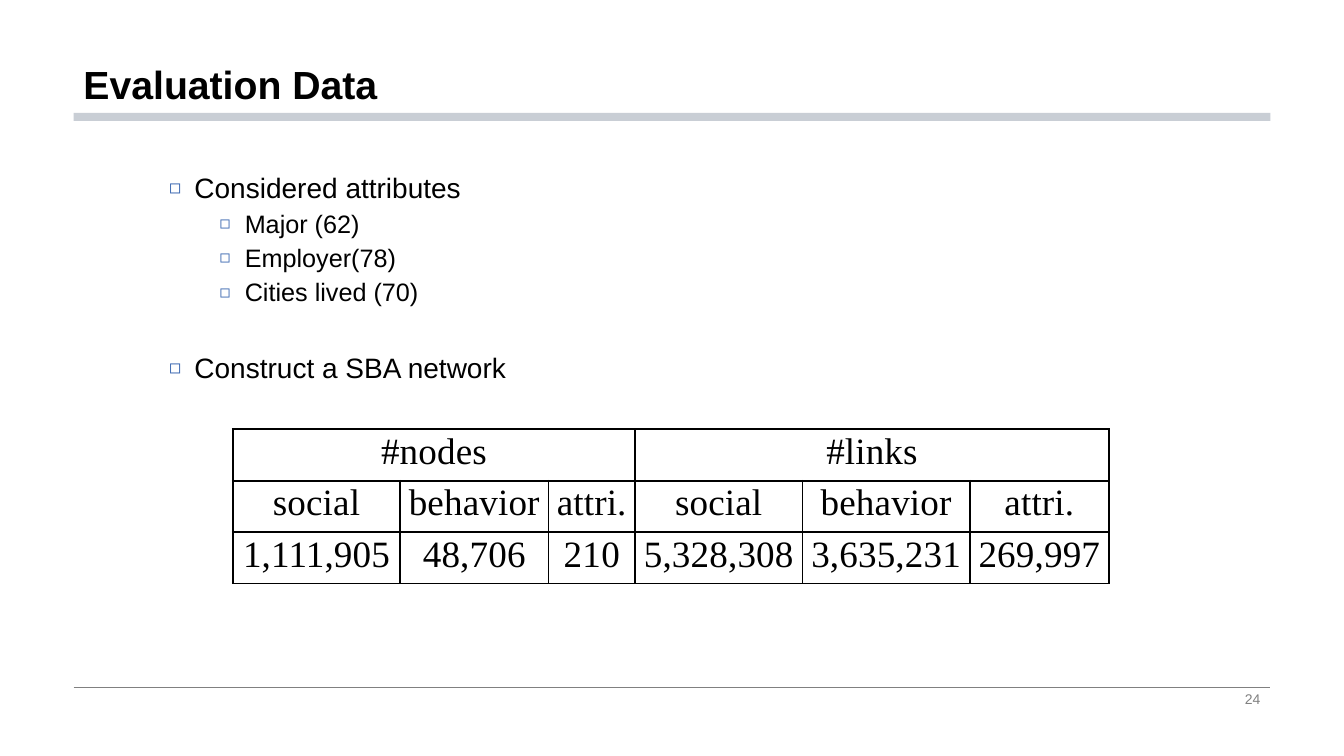
from dataclasses import dataclass

from lxml.etree import SubElement
from pptx import Presentation
from pptx.dml.color import RGBColor
from pptx.enum.shapes import MSO_CONNECTOR, MSO_SHAPE
from pptx.enum.text import MSO_ANCHOR, PP_ALIGN
from pptx.oxml import parse_xml
from pptx.oxml.ns import nsdecls, qn
from pptx.util import Inches, Pt

COLORS = {"text": "000000", "bar": "C9CED5", "gray": "808080", "bullet": "3966B0"}
LEFT, WIDTH = 0.73, 11.87
FOOT = 6.82


@dataclass
class Item:
    text: str
    level: int = 0
    before: float = 10


ITEMS = [
    Item("Considered attributes"),
    Item("Major (62)", 1, 5),
    Item("Employer(78)", 1, 5),
    Item("Cities lived (70)", 1, 5),
    Item("Construct a SBA network", 0, 33.6),
]
COLS = [1.66, 1.47, 0.86, 1.66, 1.66, 1.38]
ROW = 0.51
HEADS = ["#nodes", "#links"]
ROWS = [
    ["social", "behavior", "attri."] * 2,
    ["1,111,905", "48,706", "210", "5,328,308", "3,635,231", "269,997"],
]


def color(name: str) -> RGBColor:
    return RGBColor.from_string(COLORS[name])


def write(para, text: str, *, size: float, font: str = "Arial", tint: str = "text",
          bold: bool = False, align=PP_ALIGN.LEFT, line=0.9, before: float = 0,
          track: int = 0) -> None:
    """Fill a paragraph; track is letter spacing in hundredths of a point."""
    para.alignment = align
    para.line_spacing = line
    para.space_before = Pt(before)
    run = para.add_run()
    run.text = text
    run.font.size = Pt(size)
    run.font.name = font
    run.font.bold = bold
    run.font.color.rgb = color(tint)
    if track:
        run._r.get_or_add_rPr().set("spc", str(track))


def add_box(slide, x: float, y: float, w: float, h: float, anchor=MSO_ANCHOR.TOP):
    box = slide.shapes.add_textbox(Inches(x), Inches(y), Inches(w), Inches(h))
    frame = box.text_frame
    frame.word_wrap = True
    frame.vertical_anchor = anchor
    return frame


def add_bullet(para, level: int) -> None:
    para.level = level
    props = para._p.get_or_add_pPr()
    props.set("marL", str(Inches(0.25 + 0.5 * level)))
    props.set("indent", str(Inches(-0.25)))
    tint = SubElement(props, qn("a:buClr"))
    SubElement(tint, qn("a:srgbClr"), val=COLORS["bullet"])
    SubElement(props, qn("a:buSzPct"), val="70000")
    SubElement(props, qn("a:buFont"), typeface="Arial")
    SubElement(props, qn("a:buChar"), char="◻")


def add_frame(slide) -> None:
    """Draw the bar under the title and the footer rule."""
    bar = slide.shapes.add_shape(MSO_SHAPE.RECTANGLE, Inches(LEFT), Inches(1.12),
                                 Inches(WIDTH), Inches(0.08))
    bar.shadow.inherit = False
    bar.fill.solid()
    bar.fill.fore_color.rgb = color("bar")
    bar.line.fill.background()
    rule = slide.shapes.add_connector(MSO_CONNECTOR.STRAIGHT, Inches(LEFT), Inches(FOOT),
                                      Inches(LEFT + WIDTH), Inches(FOOT))
    rule.line.color.rgb = color("gray")
    rule.line.width = Pt(0.5)
    SubElement(rule._element.spPr, qn("a:effectLst"))


def add_list(slide) -> None:
    frame = add_box(slide, 1.58, 1.23, 10.16, 5.49)
    frame.margin_top = Inches(0.5)
    for i, item in enumerate(ITEMS):
        para = frame.add_paragraph() if i else frame.paragraphs[0]
        write(para, item.text, size=20 - 2 * item.level, before=item.before)
        add_bullet(para, item.level)


def style_cell(cell) -> None:
    cell.margin_left = cell.margin_right = cell.margin_top = cell.margin_bottom = 0
    cell.fill.background()
    props = cell._tc.get_or_add_tcPr()
    for i, side in enumerate("LRTB"):
        props.insert(i, parse_xml(
            f'<a:ln{side} {nsdecls("a")} w="{Pt(1.5)}"><a:solidFill>'
            f'<a:srgbClr val="{COLORS["text"]}"/></a:solidFill></a:ln{side}>'))


def fill_cell(cell, text: str) -> None:
    write(cell.text_frame.paragraphs[0], text, size=26.5, font="Times New Roman",
          align=PP_ALIGN.CENTER, line=Pt(30.8), track=20 if text == "210" else 10)


def add_grid(slide) -> None:
    count = len(ROWS) + 1
    table = slide.shapes.add_table(count, len(COLS), Inches(2.31), Inches(4.26),
                                   Inches(sum(COLS)), Inches(ROW * count)).table
    table.first_row = table.horz_banding = False
    for col, width in zip(table.columns, COLS):
        col.width = Inches(width)
    for row in table.rows:
        row.height = Inches(ROW)
    for cell in table.iter_cells():
        style_cell(cell)
    for i, head in enumerate(HEADS):
        cell = table.cell(0, 3 * i)
        cell.merge(table.cell(0, 3 * i + 2))
        fill_cell(cell, head)
    for r, texts in enumerate(ROWS, 1):
        for c, text in enumerate(texts):
            fill_cell(table.cell(r, c), text)


def main() -> None:
    deck = Presentation()
    deck.slide_width, deck.slide_height = Inches(13.33), Inches(7.5)
    slide = deck.slides.add_slide(deck.slide_layouts[6])
    add_frame(slide)
    title = add_box(slide, LEFT, 0, WIDTH, 1.12, MSO_ANCHOR.BOTTOM)
    write(title.paragraphs[0], "Evaluation Data", size=28, bold=True)
    add_list(slide)
    number = add_box(slide, 9.42, FOOT, 3.18, 0.23, MSO_ANCHOR.MIDDLE)
    write(number.paragraphs[0], "24", size=10, tint="gray", align=PP_ALIGN.RIGHT, line=1.0)
    add_grid(slide)
    deck.save("out.pptx")


if __name__ == "__main__":
    main()
